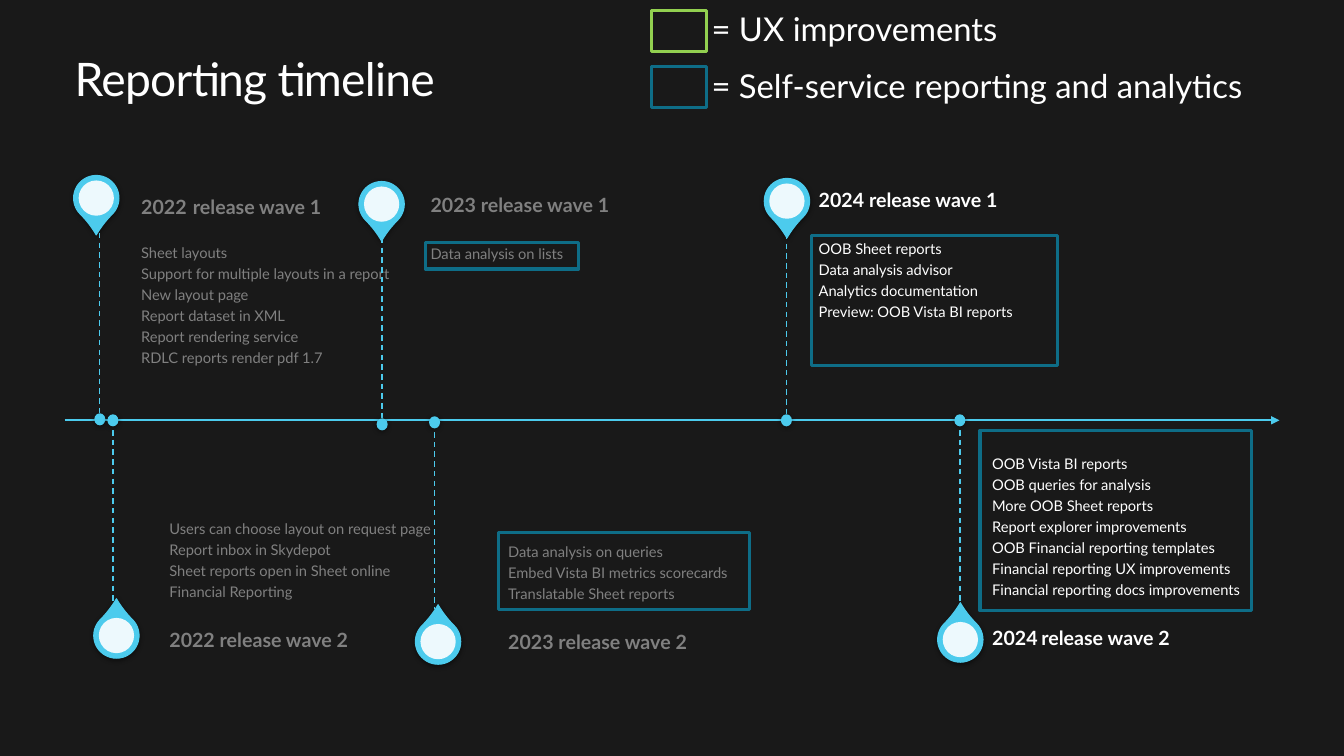
from pptx import Presentation
from pptx import util as u
from pptx.dml.color import RGBColor
from pptx.enum import dml, shapes, text
from pptx.oxml import ns, xmlchemy as xml

DARK = RGBColor(0x19, 0x19, 0x19)
WHITE = RGBColor(0xFF, 0xFF, 0xFF)
GRAY = RGBColor(0x80, 0x80, 0x80)
SKY = RGBColor(0x4C, 0xCB, 0xED)
TEAL = RGBColor(0x0E, 0x6D, 0x87)
LIME = RGBColor(0x92, 0xD0, 0x50)
PALE = RGBColor(0xB8, 0xEA, 0xF8)

STEM = 1.85
HEAD = 0.65
WIDE = 2.82


class Board:
    """Draws the timeline elements on one slide in a shared style."""

    font = "Lato"

    def __init__(self, deck):
        self.slide = deck.slides.add_slide(deck.slide_layouts[5])
        fill = self.slide.background.fill
        fill.solid()
        fill.fore_color.rgb = DARK

    def child(self, node, tag, **attrs):
        item = xml.OxmlElement(tag)
        for key, value in attrs.items():
            item.set(key, str(value))
        node.append(item)
        return item

    def run(self, para, words, size, color, bold=False, slant=False):
        run = para.add_run()
        run.text = words
        font = run.font
        font.name, font.size, font.bold, font.italic = self.font, u.Pt(size), bold, slant
        font.color.rgb = color
        return run

    def frame(self, box, pads, anchor):
        frame = box.text_frame
        frame.word_wrap = True
        frame.auto_size = text.MSO_AUTO_SIZE.NONE
        frame.vertical_anchor = anchor
        (frame.margin_left, frame.margin_top,
         frame.margin_right, frame.margin_bottom) = map(u.Inches, pads)
        return frame

    def title(self, words, spot):
        box = self.slide.shapes.title
        box.left, box.top, box.width, box.height = map(u.Inches, spot)
        frame = self.frame(box, (0.1, 0.05, 0.1, 0.05), text.MSO_ANCHOR.MIDDLE)
        para = frame.paragraphs[0]
        para.alignment = text.PP_ALIGN.LEFT
        para.line_spacing = 0.9
        run = self.run(para, words, 33, WHITE)
        run.font._element.set("spc", "-50")

    def label(self, lines, spot, pads, anchor, gap=0):
        box = self.slide.shapes.add_textbox(*map(u.Inches, spot))
        frame = self.frame(box, pads, anchor)
        for index, runs in enumerate(lines):
            para = frame.add_paragraph() if index else frame.paragraphs[0]
            para.line_spacing = 0.9
            para.space_after = u.Pt(gap)
            for part in runs:
                self.run(para, *part)

    def line(self, start, end, width):
        link = self.slide.shapes.add_connector(
            shapes.MSO_CONNECTOR.STRAIGHT, *map(u.Inches, start + end))
        link.line.color.rgb = SKY
        link.line.width = u.Pt(width)
        self.child(link._element.spPr, "a:effectLst")
        return link

    def axis(self, start, end):
        link = self.line(start, end, 1.5)
        self.child(link.line._get_or_add_ln(), "a:tailEnd", type="triangle")

    def shape(self, kind, spot, fill=None, edge=None, width=2.25, shade=False):
        form = self.slide.shapes.add_shape(kind, *map(u.Inches, spot))
        if fill is None:
            form.fill.background()
        else:
            form.fill.solid()
            form.fill.fore_color.rgb = fill
        if edge is None:
            form.line.fill.background()
        else:
            form.line.color.rgb = edge
            form.line.width = u.Pt(width)
        form.shadow.inherit = False
        if shade:
            effect = form._element.spPr.find(ns.qn("a:effectLst"))
            blur = self.child(effect, "a:outerShdw", blurRad=u.Pt(3.5), dist=u.Pt(1.1),
                              dir=5400000, rotWithShape=0)
            color = self.child(blur, "a:srgbClr", val="000000")
            self.child(color, "a:alpha", val=45000)
        return form

    def box(self, spot, color):
        self.shape(shapes.MSO_SHAPE.RECTANGLE, spot, edge=color)

    def pin(self, left, top, turn):
        drop = self.shape(shapes.MSO_SHAPE.TEAR, (left, top, 0.45, 0.45),
                          SKY, SKY, 0.75, True)
        drop.adjustments[0] = 1.15
        drop.rotation = turn
        disc = self.shape(shapes.MSO_SHAPE.OVAL, (left + 0.05, top + 0.05, 0.35, 0.35), WHITE)
        color = disc._element.spPr.find(".//" + ns.qn("a:srgbClr"))
        self.child(color, "a:alpha", val=90000)

    def wave(self, dot, pin, note, color, head, items):
        x, y = dot
        left, top = note
        above = pin[1] < y
        self.pin(*pin, 135 if above else 315)
        lines = [[(item, 10.5, color)] for item in items]
        if above:
            self.label(lines, (left, top + HEAD, WIDE, STEM), (0, 0.08, 0.08, 0.11),
                       text.MSO_ANCHOR.TOP, 3.68)
        else:
            self.label(lines, (left, top - STEM, WIDE, STEM), (0, 0.11, 0, 0.08),
                       text.MSO_ANCHOR.BOTTOM, 3.68)
        self.label([head], (left, top, WIDE, HEAD), (0, 0, 0.1, 0),
                   text.MSO_ANCHOR.MIDDLE, 4.9)
        ends = [(x, y - STEM), dot] if above else [dot, (x, y + STEM)]
        stem = self.line(*ends, 1)
        stem.line.dash_style = dml.MSO_LINE.DASH
        self.shape(shapes.MSO_SHAPE.OVAL, (x - 0.055, y - 0.06, 0.11, 0.12), SKY, shade=True)

    def key(self, top, color, words):
        self.box((6.46, top, 0.55, 0.41), color)
        self.label([[(words, 23.4, WHITE)]], (6.96, top - 0.12, 5.97, 0.66),
                   (0.1, 0.05, 0.1, 0.05), text.MSO_ANCHOR.MIDDLE)


def head(words, color):
    return [(words, 14, color, True)]


WAVES = [
    ((0.99, 4.16), (0.73, 1.74), (1.4, 1.71), GRAY,
     head("2022", GRAY) + [(" ", 20, PALE, True, True)] + head("release wave 1", GRAY),
     ["Sheet layouts", "Support for multiple layouts in a report", "New layout page",
      "Report dataset in XML", "Report rendering service", "RDLC reports render pdf 1.7"]),
    ((1.12, 4.17), (0.93, 6.08), (1.68, 6.04), GRAY, head("2022 release wave 2", GRAY),
     ["Users can choose layout on request page", "Report inbox in Skydepot",
      "Sheet reports open in Sheet online", "Financial Reporting"]),
    ((3.79, 4.21), (3.56, 1.8), (4.27, 1.72), GRAY, head("2023 release wave 1", GRAY),
     ["Data analysis on lists"]),
    ((4.31, 4.19), (4.12, 6.14), (5.04, 6.06), GRAY, head("2023 release wave 2", GRAY),
     ["Data analysis on queries", "Embed Vista BI metrics scorecards",
      "Translatable Sheet reports"]),
    ((7.8, 4.17), (7.58, 1.77), (8.12, 1.67), WHITE, head("2024 release wave 1", WHITE),
     ["OOB Sheet reports", "Data analysis advisor", "Analytics documentation",
      "Preview: OOB Vista BI reports"]),
    ((9.52, 4.17), (9.3, 6.12), (9.84, 6.02), WHITE,
     head("2024", WHITE) + [(" ", 10.5, WHITE, True)] + head("release wave 2", WHITE),
     ["OOB Vista BI reports", "OOB queries for analysis", "More OOB Sheet reports",
      "Report explorer improvements", "OOB Financial reporting templates",
      "Financial reporting UX improvements", "Financial reporting docs improvements"]),
]

BOXES = [(4.22, 2.41, 1.52, 0.26), (8.05, 2.34, 2.44, 1.29),
         (4.94, 5.28, 2.49, 0.77), (9.72, 4.27, 2.69, 1.79)]


def main():
    deck = Presentation()
    deck.slide_width, deck.slide_height = u.Inches(13.33), u.Inches(7.5)
    board = Board(deck)
    board.title("Reporting timeline", (0.64, 0.5, 12.05, 0.61))
    board.axis((0.64, 4.17), (12.69, 4.17))
    for wave in WAVES:
        board.wave(*wave)
    for spot in BOXES:
        board.box(spot, TEAL)
    board.key(0.1, LIME, "= UX improvements")
    board.key(0.66, TEAL, "= Self-service reporting and analytics")
    deck.save("out.pptx")


if __name__ == "__main__":
    main()
